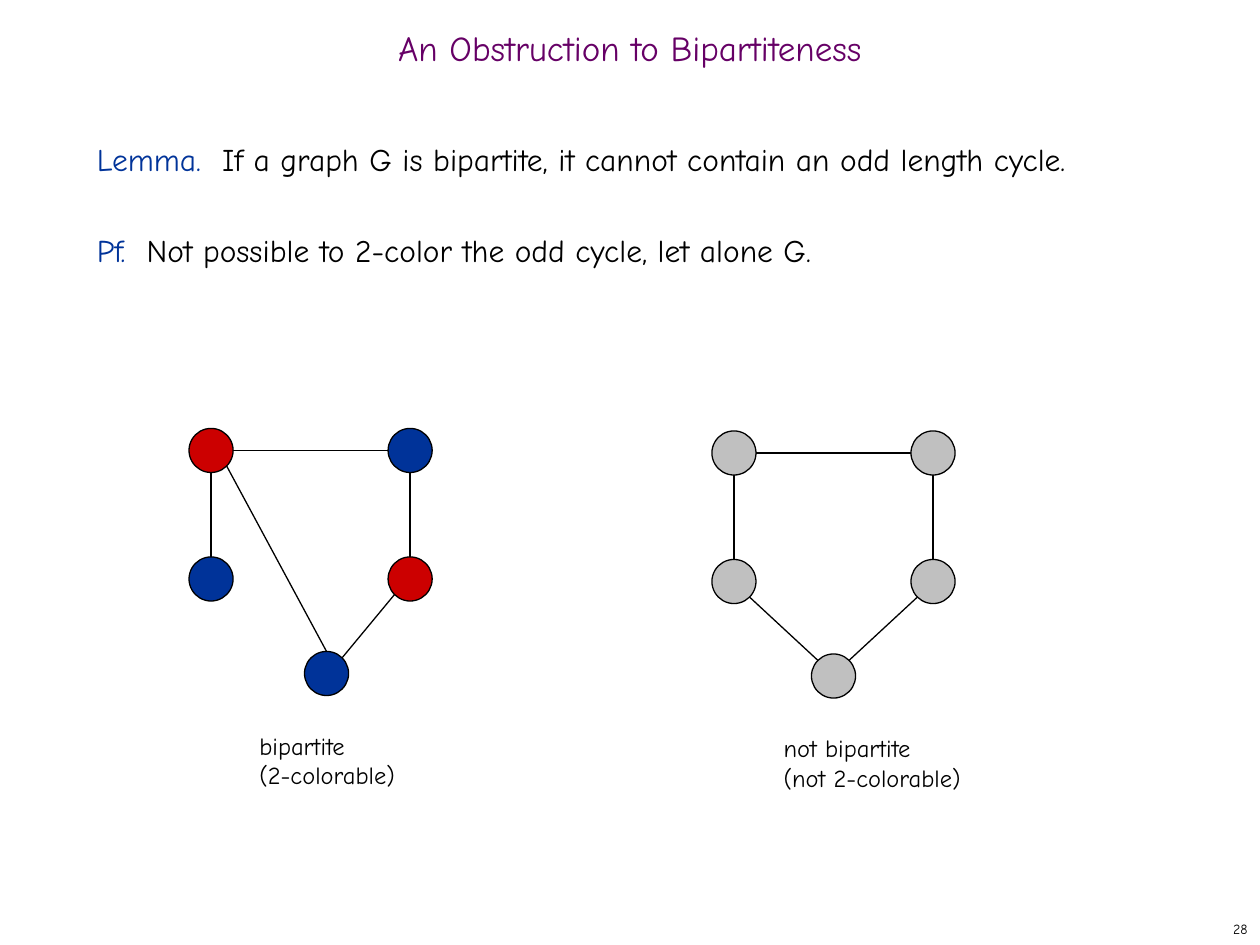
import pptx
import pptx.util
from pptx.dml.color import RGBColor
from pptx.enum.shapes import MSO_CONNECTOR, MSO_SHAPE
from pptx.enum.text import MSO_ANCHOR, MSO_AUTO_SIZE, PP_ALIGN
from lxml import etree

FONT = "Comic Neue"
BLACK, BLUE, RED, GRAY, PURPLE = "000000", "003399", "CC0000", "C0C0C0", "660066"
TITLE = "An Obstruction to Bipartiteness"
BODY = [
    ("Lemma.  ", "If a graph G is bipartite, it cannot contain an odd length cycle."),
    ("Pf.  ", "Not possible to 2-color the odd cycle, let alone G."),
]
NODE = 0.35
COLUMN, ROWS = 1.58, (0, 1.02, 1.77)
SITES = {"top": (0, -1), "bottom": (0, 1), "left": (-1, 0), "right": (1, 0),
         "top left": (-0.71, -0.71), "top right": (0.71, -0.71),
         "bottom left": (-0.71, 0.71), "bottom right": (0.71, 0.71)}
SQUARE_EDGES = [("a", "right", "b", "left"), ("d", "top", "b", "bottom"),
                ("c", "top", "a", "bottom"), ("e", "top right", "d", "bottom left")]
GRAPHS = [
    {"at": (1.5, 3.4), "tip": 0.58,
     "colors": {"a": RED, "b": BLUE, "c": BLUE, "d": RED, "e": BLUE},
     "edges": SQUARE_EDGES + [("e", "top", "a", "bottom right")],
     "caption": "bipartite\v(2-colorable)", "box": (1.96, 5.75, 1.28, 0.57)},
    {"at": (5.65, 3.42), "tip": 0.5,
     "colors": dict.fromkeys("abcde", GRAY),
     "edges": SQUARE_EDGES + [("c", "bottom right", "e", "top left")],
     "caption": "not bipartite\v(not 2-colorable)", "box": (6.12, 5.77, 1.62, 0.57)},
]


def inches(*values):
    return [pptx.util.Inches(v) for v in values]


def rgb(color):
    return RGBColor.from_string(color)


def style(p, size, *colors):
    for r, color in zip(p.runs, colors * len(p.runs)):
        r.font.name, r.font.size = FONT, pptx.util.Pt(size)
        r.font.color.rgb = rgb(color)


def add_text(s, box, text, size, wrap=False):
    tf = s.shapes.add_textbox(*inches(*box)).text_frame
    tf.word_wrap = wrap
    tf.text = text
    style(tf.paragraphs[0], size, BLACK)
    return tf


def outline(shape):
    shape.line.color.rgb = rgb(BLACK)
    shape.line.width = pptx.util.Pt(0.75)


def add_graph(s, graph):
    x, y = graph["at"]
    spots = {"a": (0, 0), "b": (COLUMN, 0), "c": (0, ROWS[1]),
             "d": (COLUMN, ROWS[1]), "e": (graph["tip"] * COLUMN, ROWS[2])}

    def site(node, side):
        return [start + offset + NODE / 2 * (1 + direction)
                for start, offset, direction in zip((x, y), spots[node], SITES[side])]

    for node, side, other, other_side in graph["edges"]:
        line = s.shapes.add_connector(
            MSO_CONNECTOR.STRAIGHT, *inches(*site(node, side), *site(other, other_side)))
        outline(line)
        etree.SubElement(line._element.spPr, pptx.oxml.ns.qn("a:effectLst"))
    for node, (dx, dy) in spots.items():
        circle = s.shapes.add_shape(MSO_SHAPE.OVAL, *inches(x + dx, y + dy, NODE, NODE))
        circle.shadow.inherit = False
        circle.fill.solid()
        circle.fill.fore_color.rgb = rgb(graph["colors"][node])
        outline(circle)
    tf = add_text(s, graph["box"], graph["caption"], 14)
    tf.auto_size = MSO_AUTO_SIZE.SHAPE_TO_FIT_TEXT


def main():
    prs = pptx.Presentation()
    prs.slide_width, prs.slide_height = inches(10, 7.5)
    s = prs.slides.add_slide(prs.slide_layouts[5])

    title = s.shapes.title
    title.left, title.top, title.width, title.height = inches(0, 0.17, 10, 0.5)
    tf = title.text_frame
    tf.text = TITLE
    tf.auto_size, tf.vertical_anchor = MSO_AUTO_SIZE.NONE, MSO_ANCHOR.MIDDLE
    p = tf.paragraphs[0]
    p.alignment, p.line_spacing = PP_ALIGN.CENTER, 0.7
    style(p, 20, PURPLE)

    tf = add_text(s, (0.67, 1, 8.58, 1.6), "", 18, wrap=True)
    for i, parts in enumerate(BODY):
        p = tf.add_paragraph() if i else tf.paragraphs[0]
        for part in parts:
            p.add_run().text = part
        p.line_spacing = pptx.util.Pt(26)
        p.space_before = pptx.util.Pt(26 if i else 0)
        style(p, 18, BLUE, BLACK)

    for graph in GRAPHS:
        add_graph(s, graph)

    tf = add_text(s, (7.92, 7.25, 2.08, 0.25), "28", 8)
    tf.vertical_anchor = MSO_ANCHOR.MIDDLE
    tf.paragraphs[0].alignment = PP_ALIGN.RIGHT
    prs.save("out.pptx")


if __name__ == "__main__":
    main()
